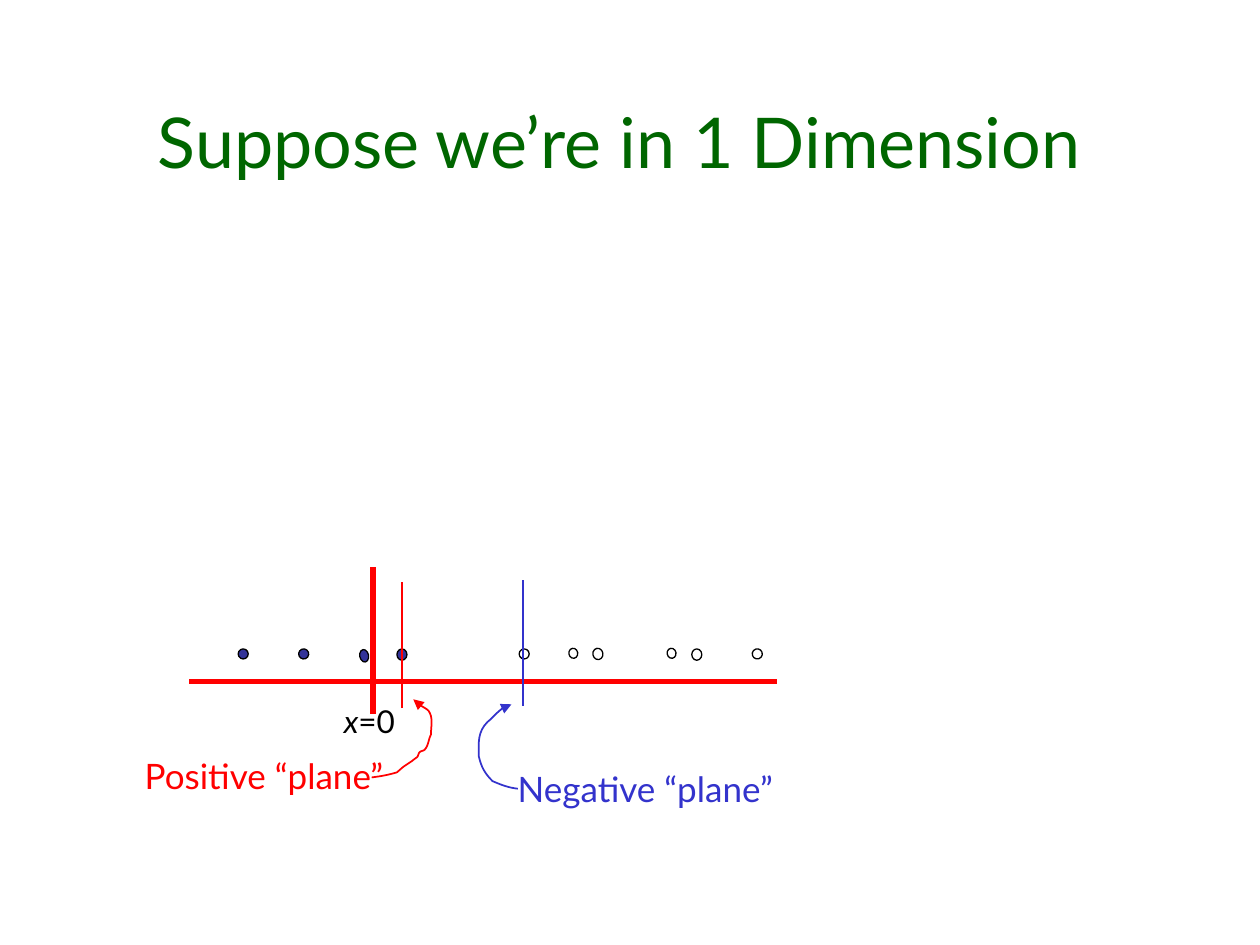
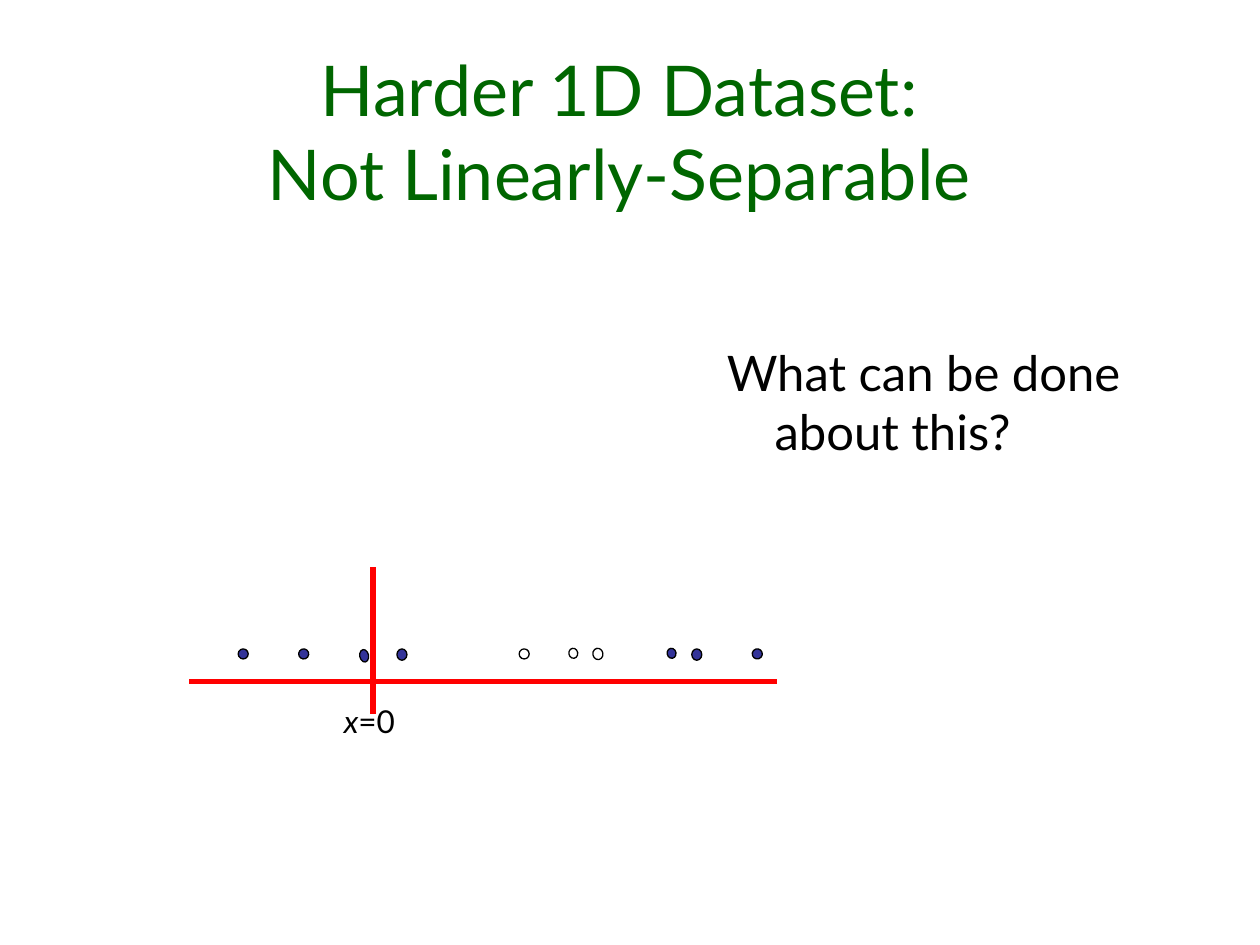
from lxml import etree
from pptx import Presentation
from pptx.dml.color import RGBColor
from pptx.enum.shapes import MSO_CONNECTOR as Connector, MSO_SHAPE as Shape
from pptx.enum.text import MSO_ANCHOR as Anchor, MSO_AUTO_SIZE as AutoSize, PP_ALIGN as Align
from pptx.oxml.ns import qn
from pptx.util import Inches, Pt

FONT = "Lato"
GREEN, RED, BLUE = "006600", "FF0000", "3333CC"
NAVY, WHITE, BLACK = "333399", "FFFFFF", "000000"
HANGING = 0.38
CURVE_STEPS = 8

# left, top, width, height, rotation; in order along the axis
DOTS = [
    (1.89, 5.15, 0.08, 0.08, 0),
    (2.37, 5.15, 0.08, 0.08, 98.3),
    (2.84, 5.17, 0.1, 0.07, 79.6),
    (3.15, 5.15, 0.08, 0.09, 0),
    (4.12, 5.15, 0.08, 0.08, 0),
    (4.51, 5.15, 0.08, 0.07, 79.6),
    (4.7, 5.15, 0.09, 0.08, 79.6),
    (5.29, 5.15, 0.08, 0.07, 79.6),
    (5.49, 5.15, 0.08, 0.09, 0),
    (5.97, 5.15, 0.08, 0.08, 341.4),
]
AXES = [((2.96, 4.5), (2.96, 5.67)), ((1.5, 5.41), (6.17, 5.41))]
ORIGIN_LABEL = [("x", True), ("=0", False)]

PLANES = [
    {
        "label": "Positive “plane”", "color": RED, "label_at": (1.05, 5.94),
        "line": ((3.19, 5.62), (3.19, 4.62)),
        "pointer_start": (2.95, 6.17),
        "pointer_curves": [
            ((3.03, 6.16), (3.08, 6.15), (3.15, 6.13)),
            ((3.22, 6.07), (3.18, 6.1), (3.27, 6.04)),
            ((3.28, 6.03), (3.31, 6.01), (3.31, 6.01)),
            ((3.32, 6), (3.32, 5.98), (3.33, 5.97)),
            ((3.34, 5.96), (3.36, 5.96), (3.37, 5.95)),
            ((3.4, 5.92), (3.4, 5.87), (3.42, 5.83)),
            ((3.42, 5.77), (3.44, 5.69), (3.4, 5.64)),
            ((3.38, 5.62), (3.32, 5.59), (3.32, 5.59)),
            ((3.29, 5.55), (3.31, 5.55), (3.28, 5.55)),
        ],
    },
    {
        "label": "Negative “plane”", "color": BLUE, "label_at": (4.01, 6.04),
        "line": ((4.15, 5.6), (4.15, 4.6)),
        "pointer_start": (4.11, 6.26),
        "pointer_curves": [
            ((4.03, 6.25), (3.98, 6.23), (3.91, 6.2)),
            ((3.85, 6.14), (3.82, 6.09), (3.8, 6)),
            ((3.8, 5.89), (3.79, 5.81), (3.87, 5.73)),
            ((3.91, 5.7), (3.97, 5.62), (4.03, 5.6)),
            ((4.04, 5.6), (4.06, 5.59), (4.06, 5.59)),
        ],
    },
]

SLIDES = [
    {"title": ["Suppose we’re in 1 Dimension"], "title_at": (0.25, 0.67, 9.33, 0.83),
     "filled_dots": {0, 1, 2, 3}, "planes": PLANES},
    {"title": ["Harder 1D Dataset:", "Not Linearly-Separable"],
     "title_at": (0.25, 0.08, 9.33, 1.67),
     "filled_dots": {0, 1, 2, 3, 7, 8, 9}, "planes": [],
     "question": "What can be done about this?"},
]


def rgb(color):
    return RGBColor.from_string(color)


def add_span(para, text, size, color, italic=False):
    span = para.add_run()
    span.text = text
    span.font.name = FONT
    span.font.size = Pt(size)
    span.font.italic = italic
    span.font.color.rgb = rgb(color)


def add_box(page, at):
    box = page.shapes.add_textbox(*map(Inches, at))
    box.text_frame.word_wrap = True
    return box.text_frame


def add_title(page, lines, at):
    frame = add_box(page, at)
    frame.vertical_anchor = Anchor.BOTTOM
    para = frame.paragraphs[0]
    para.alignment = Align.CENTER
    for number, line in enumerate(lines):
        if number:
            para.add_line_break()
        add_span(para, line, 40, GREEN)


def add_note(page, at, spans, size, color):
    """Add hanging-indent text from (text, italic) spans."""
    frame = add_box(page, at)
    frame.auto_size = AutoSize.SHAPE_TO_FIT_TEXT
    para = frame.paragraphs[0]
    properties = para._p.get_or_add_pPr()
    properties.set("marL", str(Inches(HANGING)))
    properties.set("indent", str(-Inches(HANGING)))
    for text, italic in spans:
        add_span(para, text, size, color, italic)


def add_line(page, start, end, color, width):
    line = page.shapes.add_connector(Connector.STRAIGHT, *map(Inches, start + end))
    line.line.color.rgb = rgb(color)
    line.line.width = Pt(width)
    etree.SubElement(line._element.spPr, qn("a:effectLst"))


def add_dot(page, left, top, width, height, rotation, fill):
    dot = page.shapes.add_shape(Shape.OVAL, *map(Inches, (left, top, width, height)))
    dot.rotation = rotation
    dot.shadow.inherit = False
    dot.fill.solid()
    dot.fill.fore_color.rgb = rgb(fill)
    dot.line.color.rgb = rgb(BLACK)
    dot.line.width = Pt(0.75)


def curve_points(start, curves):
    """Sample a chain of cubic Bézier curves."""
    points = []
    for first, second, end in curves:
        for step in range(1, CURVE_STEPS + 1):
            t = step / CURVE_STEPS
            weights = ((1 - t) ** 3, 3 * t * (1 - t) ** 2, 3 * t ** 2 * (1 - t), t ** 3)
            corners = (start, first, second, end)
            points.append(tuple(
                Inches(sum(w * corner[axis] for w, corner in zip(weights, corners)))
                for axis in (0, 1)))
        start = end
    return points


def add_pointer(page, start, curves, color):
    builder = page.shapes.build_freeform(*map(Inches, start))
    builder.add_line_segments(curve_points(start, curves), close=False)
    pointer = builder.convert_to_shape()
    pointer.shadow.inherit = False
    pointer.fill.background()
    pointer.line.color.rgb = rgb(color)
    pointer.line.width = Pt(1)
    etree.SubElement(pointer.line._get_or_add_ln(), qn("a:tailEnd"), type="triangle")


def add_number_line(page, filled_dots):
    for start, end in AXES:
        add_line(page, start, end, RED, 3)
    for number, dot in enumerate(DOTS):
        add_dot(page, *dot, NAVY if number in filled_dots else WHITE)


def add_plane(page, plane):
    color = plane["color"]
    add_line(page, *plane["line"], color, 1)
    add_note(page, plane["label_at"] + (2.44, 0.43), [(plane["label"], False)], 20, color)
    add_pointer(page, plane["pointer_start"], plane["pointer_curves"], color)


def main():
    deck = Presentation()
    deck.slide_width, deck.slide_height = Inches(10), Inches(7.5)
    for content in SLIDES:
        page = deck.slides.add_slide(deck.slide_layouts[6])
        add_title(page, content["title"], content["title_at"])
        add_number_line(page, content["filled_dots"])
        for plane in content["planes"]:
            add_plane(page, plane)
        if "question" in content:
            add_note(page, (5.67, 2.67, 4, 1.04), [(content["question"], False)], 28, BLACK)
        add_note(page, (2.63, 5.52, 0.99, 0.4), ORIGIN_LABEL, 18, BLACK)
    deck.save("out.pptx")


if __name__ == "__main__":
    main()
